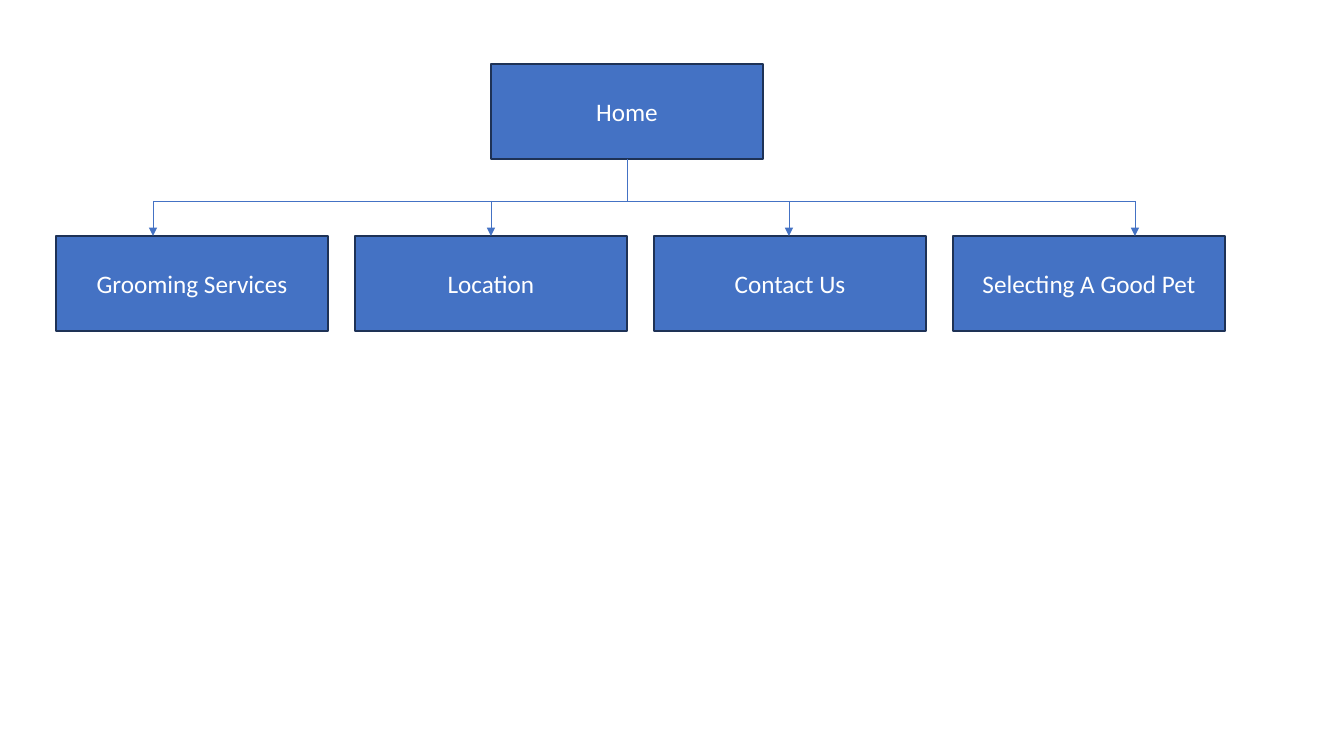
from pptx import Presentation
from pptx.dml.color import RGBColor
from pptx.enum.shapes import MSO_CONNECTOR, MSO_SHAPE
from pptx.enum.text import MSO_ANCHOR, PP_ALIGN
from pptx.oxml.ns import qn
from pptx.util import Emu, Pt
from lxml import etree

RECTANGLE = MSO_SHAPE.RECTANGLE
STRAIGHT = MSO_CONNECTOR.STRAIGHT
MIDDLE = MSO_ANCHOR.MIDDLE
CENTER = PP_ALIGN.CENTER

EMU_PER_PIXEL = 914400 / 100.8
BLUE, NAVY, WHITE = "4472C4", "1E3256", "FFFFFF"
BOX_WIDTH, BOX_HEIGHT = 272, 95
HOME_LEFT, HOME_TOP = 491, 64
PAGES_LEFT, PAGES_TOP, PAGES_STEP = 56, 236, 299
BRANCH_Y = 201
PAGES = ["Grooming Services", "Location", "Contact Us", "Selecting A Good Pet"]
ARROW_XS = [153, 491, 789, 1135]


def px(*lengths):
    """Turn pixel lengths into a list of EMU lengths."""
    return [Emu(round(length * EMU_PER_PIXEL)) for length in lengths]


def color(hex_string):
    """Turn a hex string into a colour."""
    return RGBColor.from_string(hex_string)


presentation = Presentation()
presentation.slide_width, presentation.slide_height = px(1344, 756)
slide = presentation.slides.add_slide(presentation.slide_layouts[6])

# Page boxes: the home page above a row of evenly spaced subpages
boxes = [("Home", HOME_LEFT, HOME_TOP)]
boxes += [(page, PAGES_LEFT + index * PAGES_STEP, PAGES_TOP)
          for index, page in enumerate(PAGES)]

for label, left, top in boxes:
    box = slide.shapes.add_shape(RECTANGLE, *px(left, top, BOX_WIDTH, BOX_HEIGHT))
    box.shadow.inherit = False
    box.fill.solid()
    box.fill.fore_color.rgb = color(BLUE)
    box.line.color.rgb = color(NAVY)
    box.line.width = Pt(1)
    box.text_frame.word_wrap = True
    box.text_frame.vertical_anchor = MIDDLE
    paragraph = box.text_frame.paragraphs[0]
    paragraph.alignment = CENTER
    run = paragraph.add_run()
    run.text = label
    run.font.name = "Calibri"
    run.font.size = Pt(18)
    run.font.color.rgb = color(WHITE)

# Tree lines: trunk, two branches, then an arrow down to each subpage
trunk_x = HOME_LEFT + BOX_WIDTH // 2
links = [
    (trunk_x, HOME_TOP + BOX_HEIGHT, trunk_x, BRANCH_Y, False),
    (trunk_x, BRANCH_Y, ARROW_XS[0], BRANCH_Y, False),
    (trunk_x, BRANCH_Y, ARROW_XS[-1], BRANCH_Y, False),
]
links += [(x, BRANCH_Y, x, PAGES_TOP, True) for x in ARROW_XS]

for *ends, has_arrow in links:
    link = slide.shapes.add_connector(STRAIGHT, *px(*ends))
    link.line.color.rgb = color(BLUE)
    link.line.width = Pt(0.5)
    properties = link._element.spPr
    if has_arrow:
        outline = properties.find(qn("a:ln"))
        etree.SubElement(outline, qn("a:tailEnd"), type="triangle")
    etree.SubElement(properties, qn("a:effectLst"))

presentation.save("out.pptx")
